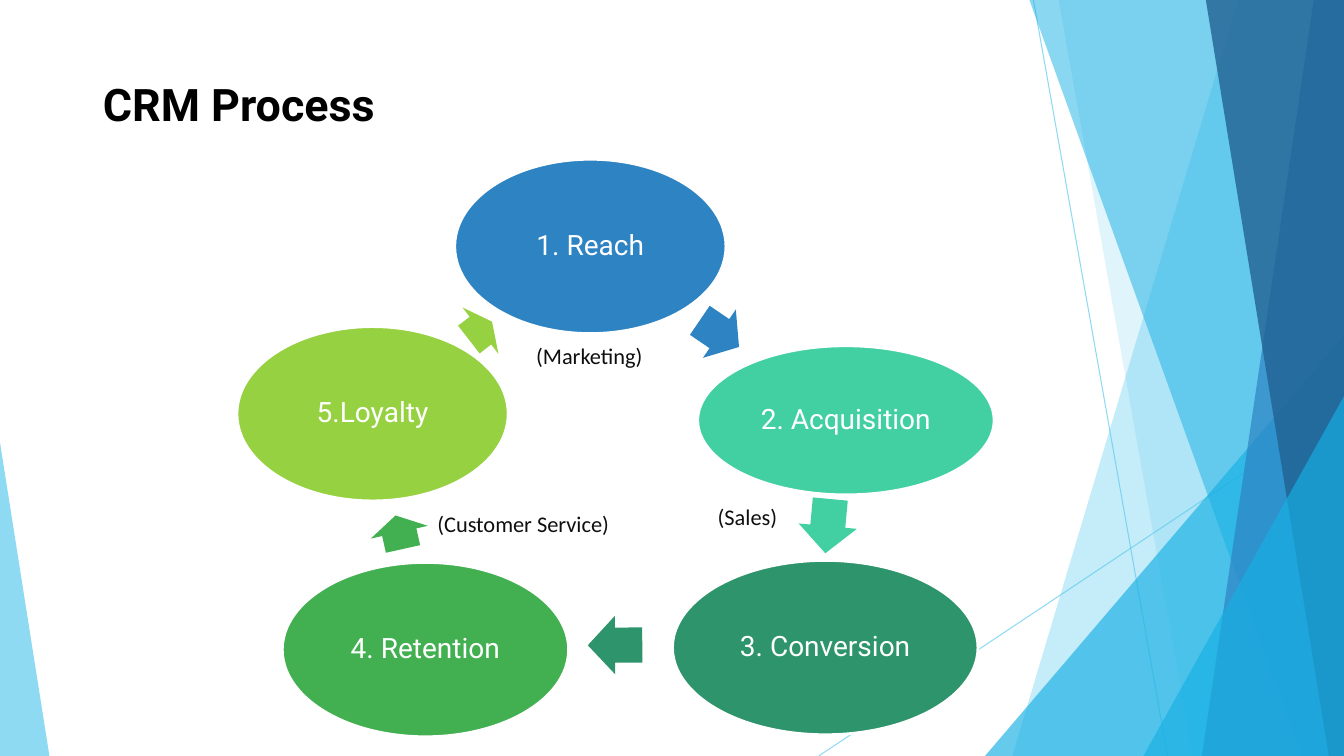
from dataclasses import dataclass

from lxml import etree
from pptx import Presentation
from pptx.dml.color import RGBColor
from pptx.enum.shapes import MSO_CONNECTOR, MSO_SHAPE
from pptx.enum.text import MSO_ANCHOR, MSO_AUTO_SIZE, PP_ALIGN
from pptx.oxml.ns import qn
from pptx.util import Pt

OVAL, ARROW, TRIANGLE = MSO_SHAPE.OVAL, MSO_SHAPE.RIGHT_ARROW, MSO_SHAPE.ISOSCELES_TRIANGLE
STRAIGHT = MSO_CONNECTOR.STRAIGHT
TOP, MIDDLE = MSO_ANCHOR.TOP, MSO_ANCHOR.MIDDLE
LEFT, CENTER = PP_ALIGN.LEFT, PP_ALIGN.CENTER
NO_FIT = MSO_AUTO_SIZE.NONE

PX = 9144  # 100 px to the inch
WIDTH, HEIGHT = 1333, 750


@dataclass(frozen=True)
class Theme:
    heading_font: str = "Roboto"
    label_font: str = "Calibri"
    title_size: int = 32
    stage_size: int = 20
    label_size: int = 16
    black: str = "000000"
    ink: str = "0F0F0F"
    white: str = "FFFFFF"
    sky: str = "5FCBEF"
    cyan: str = "17B0E4"
    blue: str = "2E83C3"
    navy: str = "226292"
    mint: str = "42D0A2"
    teal: str = "2E946B"
    green: str = "42B051"
    lime: str = "96D141"


THEME = Theme()

TITLE = ("CRM Process", (92, 71, 1219, 64))

# name, colour, oval box, box of the arrow to the next stage, arrow rotation
STAGES = [
    ("1. Reach", THEME.blue, (451, 158, 269, 173), (690, 302, 47, 58), 34.2),
    ("2. Acquisition", THEME.mint, (692, 343, 294, 148), (794, 493, 54, 58), 95.3),
    ("3. Conversion", THEME.teal, (667, 556, 303, 173), (583, 611, 54, 58), 179.7),
    ("4. Retention", THEME.green, (280, 558, 284, 173), (379, 499, 34, 58), 257.4),
    ("5.Loyalty", THEME.lime, (235, 324, 269, 173), (462, 299, 29, 58), 322.2),
]

DEPARTMENTS = [
    ("(Marketing)", (522, 335, 157, 37)),
    ("(Sales)", (702, 494, 107, 37)),
    ("(Customer Service)", (424, 501, 217, 37)),
]

RAYS = [((1025, 0), (1158, HEIGHT)), ((WIDTH, 403), (812, HEIGHT))]

# "band": top-left and bottom-left x, reaching the right edge of the slide
# "peak": box and apex position of a triangle
FACETS = [
    ("band", (1228, 1004), THEME.sky, 36),
    ("band", (1050, 1183), THEME.sky, 20),
    ("peak", ((977, 333, 356, 417), 1), THEME.cyan, 66),
    ("band", (1021, 1291), THEME.cyan, 50),
    ("band", (1303, 1192), THEME.blue, 70),
    ("band", (1196, 1318), THEME.navy, 80),
    ("peak", ((1134, 393, 199, 357), 1), THEME.cyan, 66),
    ("peak", ((0, 439, 49, 311), 0), THEME.sky, 70),
]


def emu(lengths):
    return [length * PX for length in lengths]


def color(value):
    return RGBColor.from_string(value)


def set_opacity(shape, percent):
    tone = next(shape._element.spPr.iter(qn("a:srgbClr")))
    etree.SubElement(tone, qn("a:alpha")).set("val", str(percent * 1000))


def paint(shape, fill):
    shape.shadow.inherit = False
    shape.fill.solid()
    shape.fill.fore_color.rgb = color(fill)
    shape.line.fill.background()


def add_preset(page, kind, box, fill, adjustments=()):
    shape = page.shapes.add_shape(kind, *emu(box))
    paint(shape, fill)
    for index, value in enumerate(adjustments):
        shape.adjustments[index] = value
    return shape


def write(shape, text, font, size, tone, bold=False, align=LEFT, anchor=TOP):
    frame = shape.text_frame
    frame.word_wrap = True
    frame.auto_size = NO_FIT
    frame.vertical_anchor = anchor
    para = frame.paragraphs[0]
    para.alignment = align
    span = para.add_run()
    span.text = text
    span.font.name = font
    span.font.size = Pt(size)
    span.font.bold = bold
    span.font.color.rgb = color(tone)
    return frame


def add_ray(page, start, end):
    ray = page.shapes.add_connector(STRAIGHT, *emu(start + end))
    ray.line.width = Pt(0.75)
    ray.line.color.rgb = color(THEME.sky)
    set_opacity(ray, 70)
    etree.SubElement(ray._element.spPr, qn("a:effectLst"))


def add_facet(page, kind, geometry, fill, opacity):
    if kind == "band":
        top_x, bottom_x = geometry
        builder = page.shapes.build_freeform(top_x, 0, scale=PX)
        builder.add_line_segments([(WIDTH, 0), (WIDTH, HEIGHT), (bottom_x, HEIGHT)])
        facet = builder.convert_to_shape()
        paint(facet, fill)
    else:
        box, apex = geometry
        facet = add_preset(page, TRIANGLE, box, fill, [apex])
    set_opacity(facet, opacity)


def add_stage(page, name, fill, oval_box, arrow_box, rotation):
    oval = add_preset(page, OVAL, oval_box, fill)
    oval.line.color.rgb = color(THEME.white)
    oval.line.width = Pt(2)
    frame = write(oval, name, THEME.heading_font, THEME.stage_size, THEME.white,
                  align=CENTER, anchor=MIDDLE)
    frame.margin_left = frame.margin_right = 3 * PX
    frame.margin_top = frame.margin_bottom = 3 * PX
    frame.paragraphs[0].line_spacing = 0.9
    arrow = add_preset(page, ARROW, arrow_box, fill, [0.6, 0.5])
    arrow.rotation = rotation


def main():
    deck = Presentation()
    deck.slide_width, deck.slide_height = emu((WIDTH, HEIGHT))
    page = deck.slides.add_slide(deck.slide_layouts[5])

    for start, end in RAYS:
        add_ray(page, start, end)
    for facet in FACETS:
        add_facet(page, *facet)

    text, box = TITLE
    title = page.shapes.title
    title.left, title.top, title.width, title.height = emu(box)
    write(title, text, THEME.heading_font, THEME.title_size, THEME.black, bold=True)

    for stage in STAGES:
        add_stage(page, *stage)
    for text, box in DEPARTMENTS:
        label = page.shapes.add_textbox(*emu(box))
        write(label, text, THEME.label_font, THEME.label_size, THEME.ink)

    deck.save("out.pptx")


if __name__ == "__main__":
    main()
